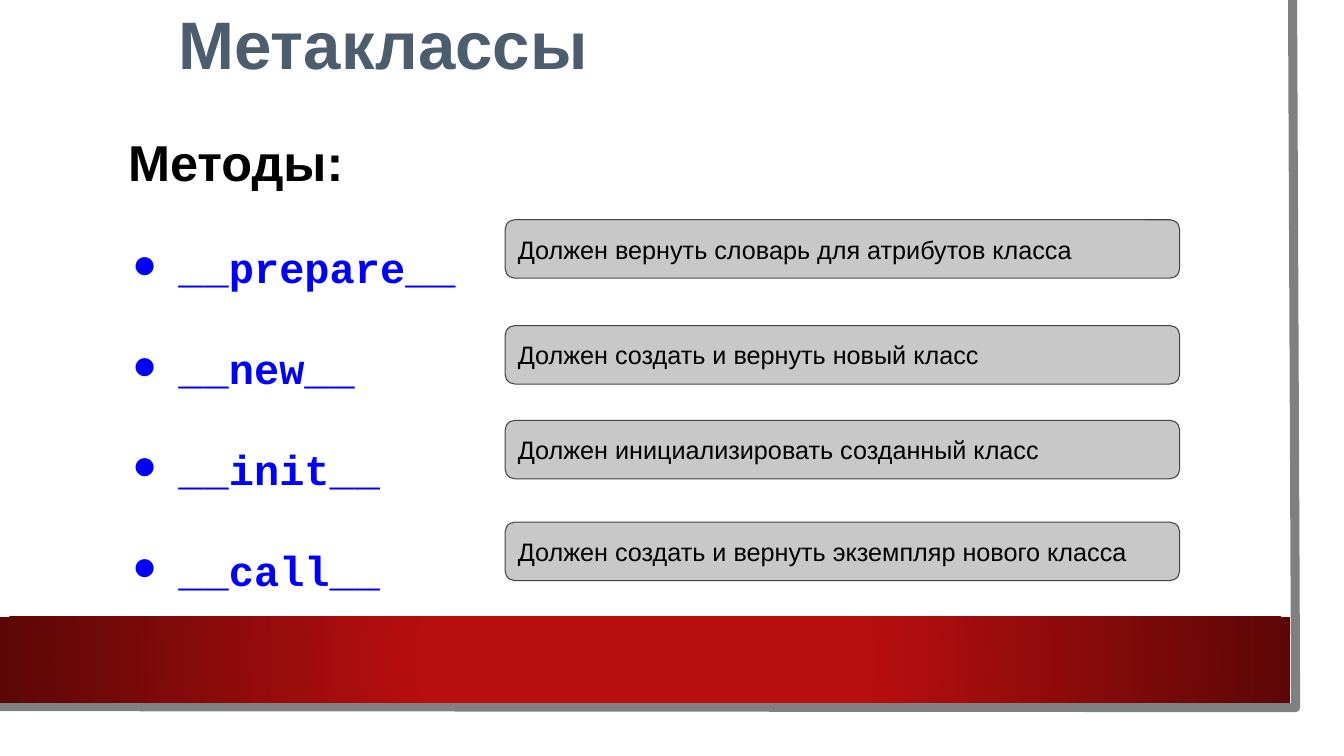
from lxml import etree
from pptx import Presentation, util as u
from pptx.dml.color import RGBColor
from pptx.enum import shapes, text
from pptx.oxml import parse_xml
from pptx.oxml.ns import qn

I = u.Inches
COLORS = {"title": "4C5D6E", "text": "000000", "method": "0000FF", "box": "C8C8C8",
          "outline": "424242", "edge": "808080", "red": "B80E0F", "dark": "5C0707"}
METHODS = [
    ("__prepare__", "Должен вернуть словарь для атрибутов класса", 2.18),
    ("__new__", "Должен создать и вернуть новый класс", 3.23),
    ("__init__", "Должен инициализировать созданный класс", 4.17),
    ("__call__", "Должен создать и вернуть экземпляр нового класса", 5.18),
]


def rgb(name):
    return RGBColor.from_string(COLORS[name])


def write(p, words, color, line_spacing=1.0, **font):
    """Fill a left-aligned paragraph with one formatted run."""
    p.alignment = text.PP_ALIGN.LEFT
    p.line_spacing = line_spacing
    p.space_before = p.space_after = u.Pt(0)
    r = p.add_run()
    r.text = words
    r.font.color.rgb = rgb(color)
    for key, value in font.items():
        setattr(r.font, key, value)


prs = Presentation()
prs.slide_width, prs.slide_height = I(13.33), I(7.5)
s = prs.slides.add_slide(prs.slide_layouts[1])
title, body = s.placeholders

# Panel edge and red band
builder = s.shapes.build_freeform(I(12.82), 0)
builder.add_line_segments([(I(12.85), I(7.02)), (I(-0.03), I(7.01))], close=False)
edge = builder.convert_to_shape()
edge.shadow.inherit = False
edge.fill.background()
edge.line.color.rgb = rgb("edge")
edge.line.width = u.Pt(6.5)

band = s.shapes.add_shape(shapes.MSO_SHAPE.RECTANGLE, 0, I(6.12), I(12.8), I(0.85))
band.shadow.inherit = False
band.line.fill.background()
band.fill.gradient()
old = band._element.spPr.find(qn("a:gradFill"))
stops = "".join(f'<a:gs pos="{pos}"><a:srgbClr val="{COLORS[name]}"/></a:gs>'
                for pos, name in [(34000, "red"), (100000, "dark")])
old.getparent().replace(old, parse_xml(
    '<a:gradFill xmlns:a="http://schemas.openxmlformats.org/drawingml/2006/main">'
    f'<a:gsLst>{stops}</a:gsLst><a:path path="circle">'
    '<a:fillToRect l="50000" t="50000" r="50000" b="50000"/></a:path></a:gradFill>'))

# Title and list of methods
for sp, box, inset, anchor in [
    (title, (1.67, 0.06, 10.79, 0.83), 0.05, text.MSO_ANCHOR.MIDDLE),
    (body, (1.17, 0.9, 8.2, 4.32), 0.1, text.MSO_ANCHOR.TOP),
]:
    sp.left, sp.top, sp.width, sp.height = map(I, box)
    tf = sp.text_frame
    tf.auto_size = text.MSO_AUTO_SIZE.NONE
    tf.vertical_anchor = anchor
    tf.margin_left = tf.margin_right = I(0.1)
    tf.margin_top = tf.margin_bottom = I(inset)

write(title.text_frame.paragraphs[0], "Метаклассы", "title", 0.9,
      name="Arial", size=u.Pt(48), bold=True)

heading = body.text_frame.paragraphs[0]
write(heading, "Методы:", "text", 1.5, name="Arial", size=u.Pt(36), bold=True)
pPr = heading._p.get_or_add_pPr()
pPr.set("marL", "0")
pPr.set("indent", "0")
etree.SubElement(pPr, qn("a:buNone"))

for method, meaning, top in METHODS:
    p = body.text_frame.add_paragraph()
    write(p, method, "method", 2.0, name="Courier New", size=u.Pt(30), bold=True)
    pPr = p._p.get_or_add_pPr()
    pPr.set("marL", str(I(0.5)))
    pPr.set("indent", str(I(-0.46)))
    bullet_color = etree.SubElement(pPr, qn("a:buClr"))
    etree.SubElement(bullet_color, qn("a:srgbClr"), val=COLORS["method"])
    etree.SubElement(pPr, qn("a:buFont"), typeface="Courier New")
    etree.SubElement(pPr, qn("a:buChar"), char="●")

    sp = s.shapes.add_shape(shapes.MSO_SHAPE.ROUNDED_RECTANGLE,
                            I(5.01), I(top), I(6.69), I(0.58))
    sp.shadow.inherit = False
    sp.fill.solid()
    sp.fill.fore_color.rgb = rgb("box")
    sp.line.color.rgb = rgb("outline")
    sp.line.width = u.Pt(0.75)
    tf = sp.text_frame
    tf.word_wrap = True
    tf.vertical_anchor = text.MSO_ANCHOR.MIDDLE
    for side in ("left", "top", "right", "bottom"):
        setattr(tf, f"margin_{side}", I(0.1))
    write(tf.paragraphs[0], meaning, "text", name="Arial", size=u.Pt(18))

prs.save("out.pptx")
